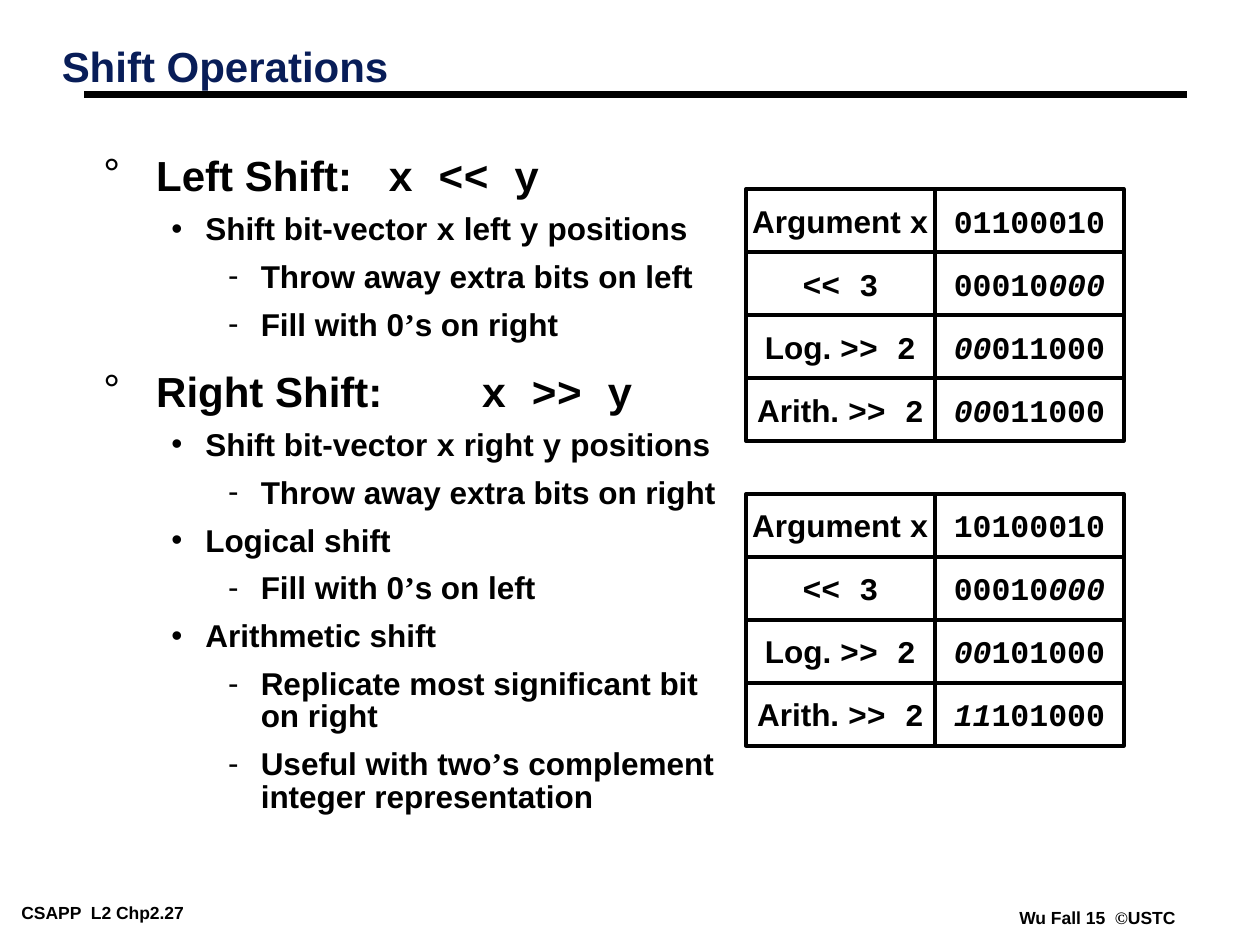
import pptx
import pptx.dml.color
import pptx.enum.shapes
import pptx.enum.text
import pptx.oxml.ns
import pptx.util
from lxml import etree

Inches, Pt = pptx.util.Inches, pptx.util.Pt
BLACK = pptx.dml.color.RGBColor(0, 0, 0)
WHITE = pptx.dml.color.RGBColor(255, 255, 255)
NAVY = pptx.dml.color.RGBColor(0x08, 0x1D, 0x58)
SANS, MONO, SERIF = "Arial", "Courier New", "Times New Roman"

# Content: a run is (text, font) or (text, font, italic)
TITLE = [("Shift Operations", SANS)]
FOOTERS = [
    (0.1, 7.13, 1.95, [("CSAPP  L2 Chp2.27", SANS)]),
    (8.02, 7.17, 1.38, [("Wu Fall 15  ", SANS), ("©", SERIF), ("USTC", SANS)]),
]
BODY = [
    (0, [("Left Shift: \t", SANS), ("x << y", MONO)]),
    (1, [("Shift bit-vector ", SANS), ("x", MONO), (" left ", SANS),
         ("y", MONO), (" positions", SANS)]),
    (2, [("Throw away extra bits on left", SANS)]),
    (2, [("Fill with 0", SANS), ("’", SERIF), ("s on right", SANS)]),
    (0, [("Right Shift: \t", SANS), ("x >> y", MONO)]),
    (1, [("Shift bit-vector ", SANS), ("x", MONO), (" right ", SANS),
         ("y", MONO), (" positions", SANS)]),
    (2, [("Throw away extra bits on right", SANS)]),
    (1, [("Logical shift", SANS)]),
    (2, [("Fill with 0", SANS), ("’", SERIF), ("s on left", SANS)]),
    (1, [("Arithmetic shift", SANS)]),
    (2, [("Replicate most significant bit on right", SANS)]),
    (2, [("Useful with two", SANS), ("’", SERIF),
         ("s complement integer representation", SANS)]),
]
# Per level: bullet, left margin, hanging indent, size, line spacing, space before
LEVELS = [
    ("°", 0.42, 0.42, 24, 0.75, 19.5),
    ("•", 0.81, 0.27, 18, 0.85, 9),
    ("-", 1.25, 0.26, 18, 0.85, 9),
]
TAB_STOPS = [2.26, 3, 4, 5, 6, 7, 8, 9]

ROW_LABELS = [
    [("Argument ", SANS), ("x", MONO)],
    [("<< 3", MONO)],
    [("Log. ", SANS), (">> 2", MONO)],
    [("Arith. ", SANS), (">> 2", MONO)],
]
# Each grid: top, then the bits of every row
GRIDS = [
    (1.5, [
        [("01100010", MONO)],
        [("00010", MONO), ("000", MONO, True)],
        [("00", MONO, True), ("011000", MONO)],
        [("00", MONO, True), ("011000", MONO)],
    ]),
    (3.92, [
        [("10100010", MONO)],
        [("00010", MONO), ("000", MONO, True)],
        [("00", MONO, True), ("101000", MONO)],
        [("11", MONO, True), ("101000", MONO)],
    ]),
]
GRID_LEFT, CELL_W, CELL_H = 5.92, 1.5, 0.5


def add_runs(p, runs, size, color=BLACK):
    for text, font, *italic in runs:
        r = p.add_run()
        r.text = text
        r.font.name = font
        r.font.size = Pt(size)
        r.font.bold = True
        r.font.italic = bool(italic)
        r.font.color.rgb = color


def add_box(slide, left, top, width, height, wrap=True):
    sp = slide.shapes.add_textbox(Inches(left), Inches(top), Inches(width), Inches(height))
    tf = sp.text_frame
    tf.word_wrap = wrap
    tf.margin_left = tf.margin_right = Inches(0.07)
    tf.margin_top = tf.margin_bottom = Inches(0.03)
    return tf


def add_child(parent, tag, **attrs):
    child = etree.SubElement(parent, pptx.oxml.ns.qn(tag))
    for name, value in attrs.items():
        child.set(name, str(value))
    return child


def format_bullet(p, level):
    bullet, margin, hang, _, spacing, before = LEVELS[level]
    p.level = level
    p.line_spacing = spacing
    p.space_before = Pt(before)
    pPr = p._p.get_or_add_pPr()
    pPr.set("marL", str(Inches(margin)))
    pPr.set("indent", str(-Inches(hang)))
    add_child(add_child(pPr, "a:buClr"), "a:srgbClr", val=BLACK)
    add_child(pPr, "a:buFont", typeface=SANS)
    add_child(pPr, "a:buChar", char=bullet)
    tabs = add_child(pPr, "a:tabLst")
    for stop in TAB_STOPS:
        add_child(tabs, "a:tab", pos=Inches(stop), algn="l")


def add_cell(slide, left, top, runs):
    sp = slide.shapes.add_shape(pptx.enum.shapes.MSO_SHAPE.RECTANGLE, Inches(left),
                                Inches(top), Inches(CELL_W), Inches(CELL_H))
    sp.shadow.inherit = False
    sp.fill.solid()
    sp.fill.fore_color.rgb = WHITE
    sp.line.color.rgb = BLACK
    sp.line.width = Pt(2)
    tf = sp.text_frame
    tf.word_wrap = False
    tf.vertical_anchor = pptx.enum.text.MSO_ANCHOR.MIDDLE
    p = tf.paragraphs[0]
    p.alignment = pptx.enum.text.PP_ALIGN.CENTER
    add_runs(p, runs, 18)


def main():
    prs = pptx.Presentation()
    prs.slide_width, prs.slide_height = Inches(10), Inches(7.5)
    slide = prs.slides.add_slide(prs.slide_layouts[6])

    # Footers
    for left, top, width, runs in FOOTERS:
        tf = add_box(slide, left, top, width, 0.22, wrap=False)
        add_runs(tf.paragraphs[0], runs, 10)

    # Rule under the title
    rule = slide.shapes.add_connector(pptx.enum.shapes.MSO_CONNECTOR.STRAIGHT, Inches(0.67),
                                      Inches(0.75), Inches(9.42), Inches(0.75))
    rule.line.color.rgb = BLACK
    rule.line.width = Pt(4.5)
    add_child(rule._element.spPr, "a:effectLst")

    # Title
    p = add_box(slide, 0.42, 0.35, 6.62, 0.63).paragraphs[0]
    p.line_spacing = 0.87
    add_runs(p, TITLE, 24, NAVY)

    # Bulleted body
    tf = add_box(slide, 0.75, 1.25, 5.13, 5.65)
    for i, (level, runs) in enumerate(BODY):
        p = tf.add_paragraph() if i else tf.paragraphs[0]
        format_bullet(p, level)
        add_runs(p, runs, LEVELS[level][3])

    # Example grids
    for grid_top, bits in GRIDS:
        for row, cells in enumerate(zip(ROW_LABELS, bits)):
            for col, runs in enumerate(cells):
                add_cell(slide, GRID_LEFT + col * CELL_W, grid_top + row * CELL_H, runs)

    prs.save("out.pptx")


if __name__ == "__main__":
    main()
